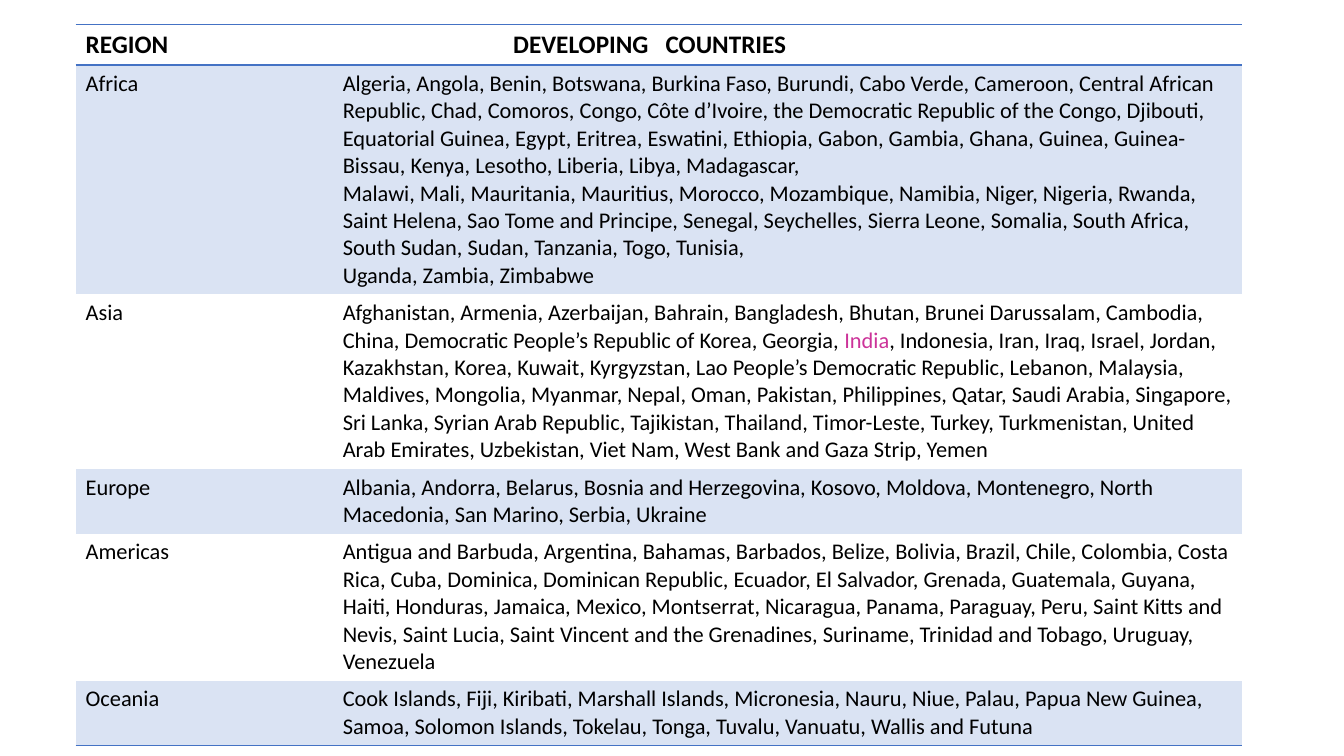
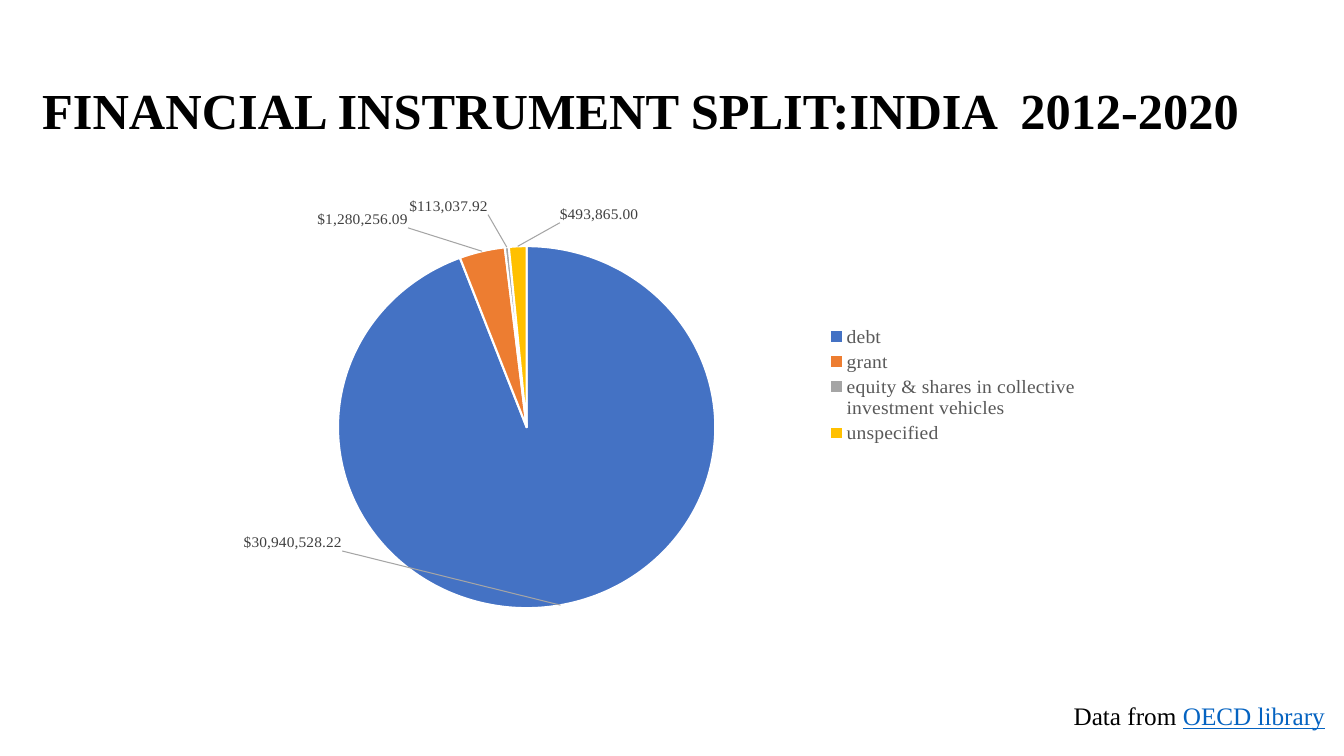
"""Build a table of developing countries and a pie of financial instruments."""
from dataclasses import dataclass
from typing import NamedTuple

from lxml.etree import SubElement
from pptx import Presentation
from pptx.chart.data import CategoryChartData
from pptx.dml.color import RGBColor
from pptx.enum.chart import XL_CHART_TYPE, XL_LABEL_POSITION, XL_LEGEND_POSITION
from pptx.enum.text import MSO_ANCHOR
from pptx.oxml import parse_xml
from pptx.oxml.ns import nsdecls, qn
from pptx.util import Inches, Pt


@dataclass(frozen=True)
class Theme:
    sans: str = "Calibri"
    serif: str = "Times New Roman"
    black: str = "000000"
    white: str = "FFFFFF"
    blue: str = "4472C4"
    orange: str = "ED7D31"
    grey: str = "A5A5A5"
    gold: str = "FFC000"
    band: str = "DAE3F3"
    pink: str = "CC3399"
    link: str = "0563C1"
    label: str = "404040"
    legend: str = "595959"
    title_size: int = 36
    head_size: int = 18
    body_size: int = 16
    key_size: int = 14
    label_size: int = 11


THEME = Theme()


class Span(NamedTuple):
    text: str
    format: dict


class Region(NamedTuple):
    name: str
    height: float
    lines: tuple


class Slice(NamedTuple):
    name: str
    value: float
    color: str
    shift: tuple


HEAD = dict(name=THEME.sans, size=Pt(THEME.head_size), bold=True, color=THEME.black)
BODY = dict(name=THEME.sans, size=Pt(THEME.body_size), bold=False, color=THEME.black)
TITLE = dict(name=THEME.serif, size=Pt(THEME.title_size), bold=True, color=THEME.black)
NOTE = dict(name=THEME.serif, size=Pt(THEME.head_size), color=THEME.black)
LABEL = dict(name=THEME.serif, size=Pt(THEME.label_size), color=THEME.label)
KEY = dict(name=THEME.serif, size=Pt(THEME.key_size), color=THEME.legend)

PLAIN_TABLE = "{2D5ABB26-0587-4C30-8999-92F81FD0307C}"
MONEY = "[$$-409]#,##0.00"

REGIONS = (
    Region("Africa", 2.17, (
        "Algeria, Angola, Benin, Botswana, Burkina Faso, Burundi, Cabo Verde, Cameroon, "
        "Central African Republic, Chad, Comoros, Congo, Côte d’Ivoire, the Democratic "
        "Republic of the Congo, Djibouti, Equatorial Guinea, Egypt, Eritrea, Eswatini, "
        "Ethiopia, Gabon, Gambia, Ghana, Guinea, Guinea-Bissau, Kenya, Lesotho, Liberia, "
        "Libya, Madagascar,",
        "Malawi, Mali, Mauritania, Mauritius, Morocco, Mozambique, Namibia, Niger, Nigeria, "
        "Rwanda, Saint Helena, Sao Tome and Principe, Senegal, Seychelles, Sierra Leone, "
        "Somalia, South Africa, South Sudan, Sudan, Tanzania, Togo, Tunisia,",
        "Uganda, Zambia, Zimbabwe")),
    Region("Asia", 1.65, ((
        Span("Afghanistan, Armenia, Azerbaijan, Bahrain, Bangladesh, Bhutan, Brunei "
             "Darussalam, Cambodia, China, Democratic People’s Republic of Korea, "
             "Georgia, ", BODY),
        Span("India", BODY | dict(color=THEME.pink)),
        Span(", Indonesia, Iran, Iraq, Israel, Jordan, Kazakhstan, Korea, Kuwait, "
             "Kyrgyzstan, Lao People’s Democratic Republic, Lebanon, Malaysia, Maldives, "
             "Mongolia, Myanmar, Nepal, Oman, Pakistan, Philippines, Qatar, Saudi Arabia, "
             "Singapore, Sri Lanka, Syrian Arab Republic, Tajikistan, Thailand, "
             "Timor-Leste, Turkey, Turkmenistan, United Arab Emirates, Uzbekistan, "
             "Viet Nam, West Bank and Gaza Strip, Yemen", BODY)),)),
    Region("Europe", 0.61, (
        "Albania, Andorra, Belarus, Bosnia and Herzegovina, Kosovo, Moldova, Montenegro, "
        "North Macedonia, San Marino, Serbia, Ukraine",)),
    Region("Americas", 1.39, (
        "Antigua and Barbuda, Argentina, Bahamas, Barbados, Belize, Bolivia, Brazil, Chile, "
        "Colombia, Costa Rica, Cuba, Dominica, Dominican Republic, Ecuador, El Salvador, "
        "Grenada, Guatemala, Guyana, Haiti, Honduras, Jamaica, Mexico, Montserrat, "
        "Nicaragua, Panama, Paraguay, Peru, Saint Kitts and Nevis, Saint Lucia, Saint "
        "Vincent and the Grenadines, Suriname, Trinidad and Tobago, Uruguay, Venezuela",)),
    Region("Oceania", 0.61, (
        "Cook Islands, Fiji, Kiribati, Marshall Islands, Micronesia, Nauru, Niue, Palau, "
        "Papua New Guinea, Samoa, Solomon Islands, Tokelau, Tonga, Tuvalu, Vanuatu, "
        "Wallis and Futuna",)),
)

SLICES = (
    Slice("debt", 30940528.22, THEME.blue, (-0.35, -0.17)),
    Slice("grant", 1280256.09, THEME.orange, (-0.08, -0.04)),
    Slice("equity & shares in collective investment vehicles", 113037.92, THEME.grey,
          (-0.02, -0.06)),
    Slice("unspecified", 493865.00, THEME.gold, (0.09, -0.04)),
)


def style(font, format: dict) -> None:
    for key, value in format.items():
        if key == "color":
            font.color.rgb = RGBColor.from_string(value)
        else:
            setattr(font, key, value)


def write(frame, lines: tuple, format: dict) -> None:
    for index, line in enumerate(lines):
        para = frame.add_paragraph() if index else frame.paragraphs[0]
        spans = (Span(line, format),) if isinstance(line, str) else line
        for span in spans:
            run = para.add_run()
            run.text = span.text
            style(run.font, span.format)


def add_text(slide, box: tuple, lines: tuple, format: dict):
    frame = slide.shapes.add_textbox(*map(Inches, box)).text_frame
    frame.word_wrap = True
    write(frame, lines, format)
    return frame


def rule(cell, edges: str) -> None:
    props = cell._tc.get_or_add_tcPr()
    for index, edge in enumerate(edges):
        props.insert(index, parse_xml(
            f'<a:ln{edge} {nsdecls("a")} w="{Pt(1)}"><a:solidFill>'
            f'<a:srgbClr val="{THEME.blue}"/></a:solidFill></a:ln{edge}>'))


def add_regions(slide) -> None:
    rows = (Region("REGION", 0.39, ("DEVELOPING   COUNTRIES",)),) + REGIONS
    height = sum(row.height for row in rows)
    table = slide.shapes.add_table(
        len(rows), 2, *map(Inches, (0.75, 0.24, 11.57, height))).table
    table.horz_banding = False
    table._tbl.tblPr.find(qn("a:tableStyleId")).text = PLAIN_TABLE
    for column, width in zip(table.columns, (2.55, 9.02)):
        column.width = Inches(width)
    for index, row in enumerate(rows):
        table.rows[index].height = Inches(row.height)
        edges = {0: "TB", len(rows) - 1: "B"}.get(index, "")
        for cell, lines in zip(table.rows[index].cells, ((row.name,), row.lines)):
            write(cell.text_frame, lines, BODY if index else HEAD)
            rule(cell, edges)
            if index % 2:
                cell.fill.solid()
                cell.fill.fore_color.rgb = RGBColor.from_string(THEME.band)
            else:
                cell.fill.background()
    table.cell(0, 1).margin_left = Inches(1.79)


def layout(**values):
    node = parse_xml(f'<c:layout {nsdecls("c")}><c:manualLayout/></c:layout>')
    for key, value in values.items():
        SubElement(node[0], qn(f"c:{key}")).set("val", str(value))
    return node


def add_pie(slide) -> None:
    data = CategoryChartData(number_format=MONEY)
    data.categories = [part.name for part in SLICES]
    data.add_series("Series 1", [part.value for part in SLICES])
    chart = slide.shapes.add_chart(
        XL_CHART_TYPE.PIE, *map(Inches, (1.8, 1.6, 9.01, 4.62)), data).chart
    chart.has_title = False
    chart.has_legend = True
    chart.legend.position = XL_LEGEND_POSITION.RIGHT
    chart.legend.include_in_layout = False
    style(chart.legend.font, KEY)
    plot = chart.plots[0]
    plot.vary_by_categories = True
    series = plot.series[0]
    labels = series.data_labels
    labels.show_value = True
    labels.number_format = MONEY
    labels.number_format_is_linked = False
    labels.position = XL_LABEL_POSITION.OUTSIDE_END
    style(labels.font, LABEL)
    for index, part in enumerate(SLICES):
        point = series.points[index]
        point.format.fill.solid()
        point.format.fill.fore_color.rgb = RGBColor.from_string(part.color)
        point.format.line.color.rgb = RGBColor.from_string(THEME.white)
        point.format.line.width = Pt(1.5)
        style(point.data_label.font, LABEL)
        point.data_label.position = XL_LABEL_POSITION.OUTSIDE_END
    root = chart.element
    for node, part in zip(root.xpath(".//c:dLbl"), SLICES):
        node.insert(1, layout(x=part.shift[0], y=part.shift[1]))
    root.xpath(".//c:ser/c:dLbls")[0].append(parse_xml(
        f'<c:leaderLines {nsdecls("c", "a")}><c:spPr><a:ln w="{Pt(0.75)}"><a:solidFill>'
        f'<a:srgbClr val="{THEME.grey}"/></a:solidFill></a:ln></c:spPr></c:leaderLines>'))
    area = root.xpath(".//c:plotArea")[0]
    for old in area.findall(qn("c:layout")):
        area.remove(old)
    area.insert(0, layout(layoutTarget="inner", xMode="edge", yMode="edge",
                          x=0.16, y=0.19, w=0.44, h=0.81))


def main() -> None:
    deck = Presentation()
    deck.slide_width, deck.slide_height = Inches(13.33), Inches(7.5)
    blank = deck.slide_layouts[6]
    add_regions(deck.slides.add_slide(blank))
    slide = deck.slides.add_slide(blank)
    title = add_text(slide, (0.32, 0.4, 13.01, 1.45),
                     ("FINANCIAL INSTRUMENT SPLIT:INDIA  2012-2020",), TITLE)
    title.vertical_anchor = MSO_ANCHOR.MIDDLE
    title.paragraphs[0].line_spacing = 0.9
    add_pie(slide)
    source = (Span("Data from ", NOTE),
              Span("OECD library", NOTE | dict(color=THEME.link, underline=True)))
    add_text(slide, (10.55, 6.9, 2.78, 0.4), (source,), NOTE)
    deck.save("out.pptx")


if __name__ == "__main__":
    main()
